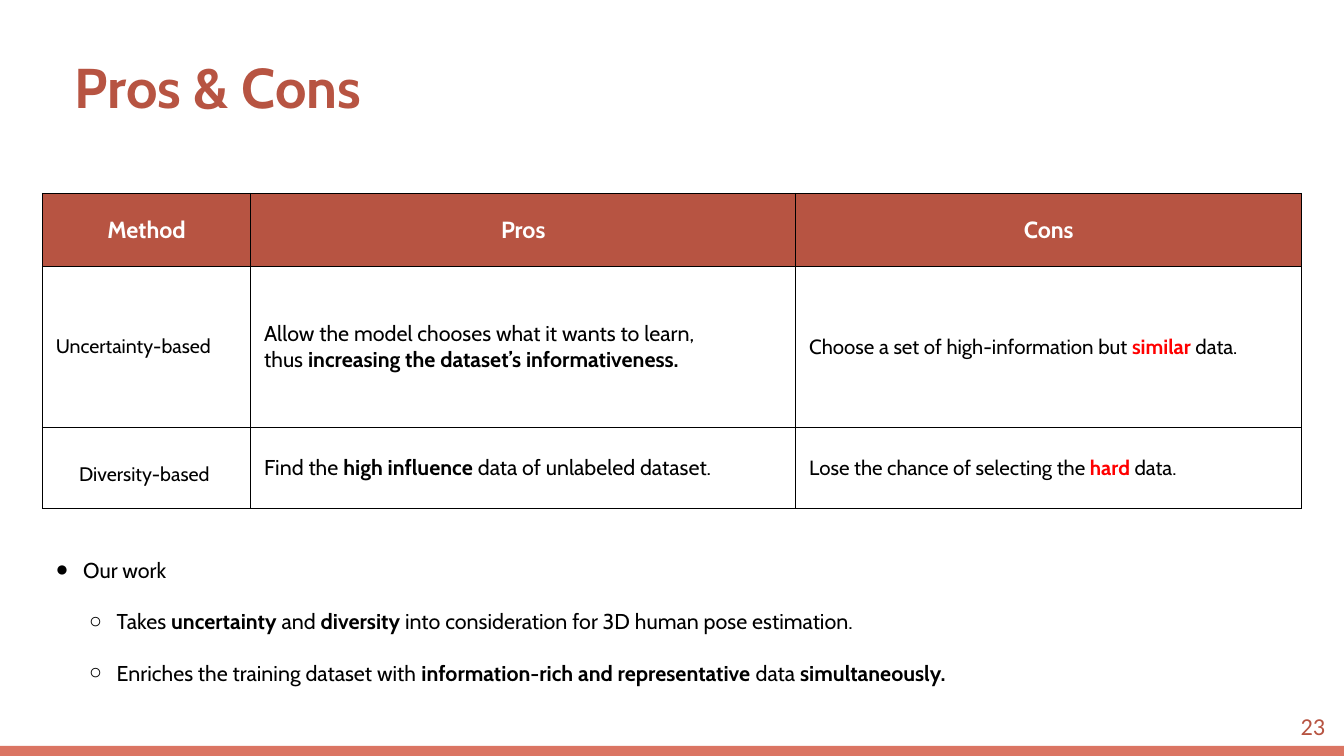
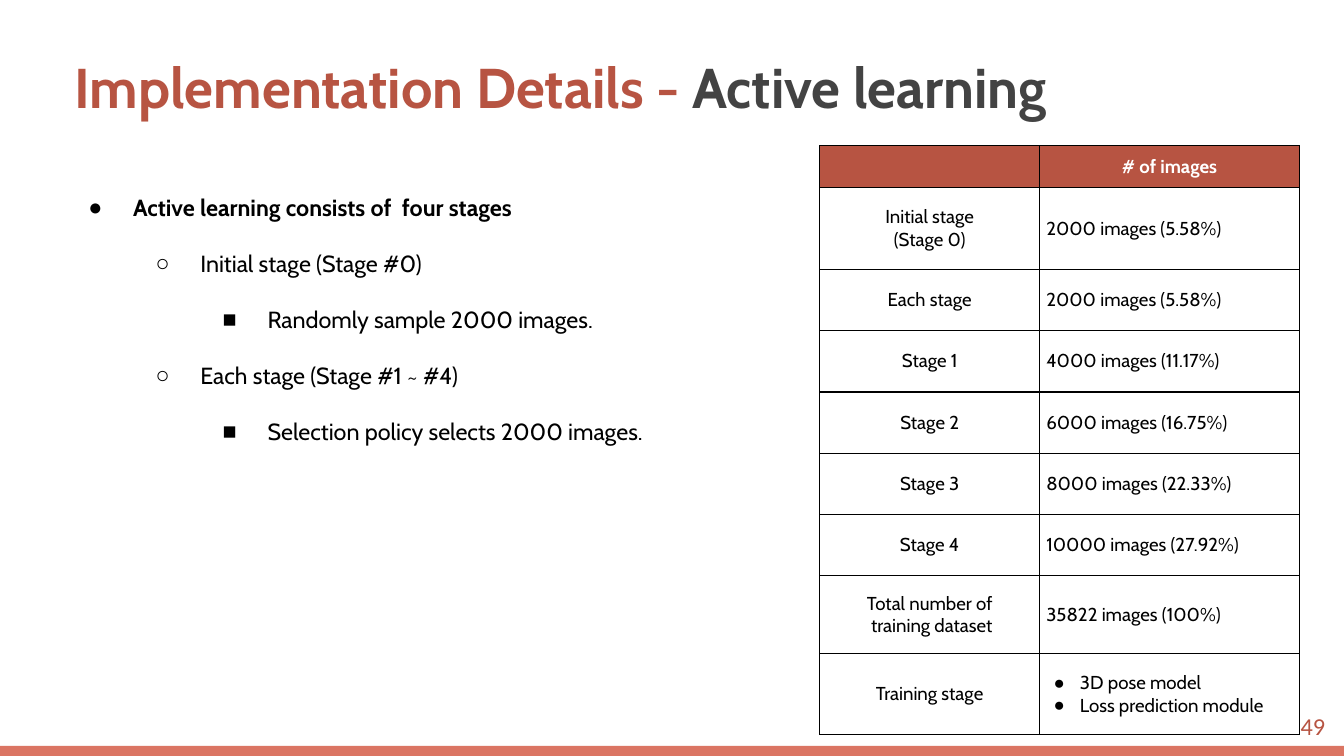
from dataclasses import dataclass

from lxml.etree import SubElement
from pptx import Presentation
from pptx.dml.color import RGBColor
from pptx.enum.shapes import MSO_SHAPE as Preset
from pptx.enum.text import MSO_ANCHOR as Anchor, MSO_AUTO_SIZE as AutoSize, PP_ALIGN as Align
from pptx.oxml.ns import qn
from pptx.util import Pt


@dataclass(frozen=True)
class Theme:
    accent: str = "B75442"
    band: str = "DB7563"
    ink: str = "000000"
    grey: str = "434343"
    white: str = "FFFFFF"
    alert: str = "FF0000"
    font: str = "Cabin"
    number_font: str = "Calibri"
    title_size: float = 60
    number_size: float = 26
    header_size: float = 25
    small_header_size: float = 20
    body_size: float = 23
    cons_size: float = 22
    method_size: float = 21
    stage_size: float = 20
    outline_size: float = 25
    wide_inset: float = 14.4
    narrow_inset: float = 7.2
    border: float = 1.5


@dataclass(frozen=True)
class Box:
    left: float
    top: float
    width: float
    height: float

    def lengths(self):
        return Pt(self.left), Pt(self.top), Pt(self.width), Pt(self.height)


THEME = Theme()
SLIDE = Box(0, 0, 1440, 810)
TITLE = Box(65.5, 41.8, 1259.3, 101.5)
NUMBER = Box(1347.8, 748, 86.4, 62)
BAND = Box(-4.3, 799.2, 1448.6, 18.7)
BULLETS = "●○■"


def rgb(color):
    return RGBColor.from_string(color)


def bold(text):
    return text, {"bold": True}


def alert(text):
    return text, {"bold": True, "color": THEME.alert}


def add_bullet(paragraph, level, step, hang):
    paragraph.level = level
    properties = paragraph._p.get_or_add_pPr()
    properties.set("marL", str(Pt(step * (level + 1))))
    properties.set("indent", str(-Pt(hang)))
    color = SubElement(properties, qn("a:buClr"))
    SubElement(color, qn("a:srgbClr"), val=THEME.ink)
    SubElement(properties, qn("a:buFont"), typeface="Arial")
    SubElement(properties, qn("a:buChar"), char=BULLETS[level])


def write(frame, lines, *, size, font=THEME.font, color=THEME.ink, bold=False,
          align=Align.LEFT, spacing=None, levels=None, step=0, hang=0):
    """Fill a frame; each line is a string or a list of strings and (string, format) runs."""
    frame.word_wrap = True
    for index, line in enumerate(lines):
        paragraph = frame.paragraphs[0] if index == 0 else frame.add_paragraph()
        if levels:
            add_bullet(paragraph, levels[index], step, hang)
        paragraph.alignment = align
        if spacing:
            paragraph.line_spacing = spacing
        for part in [line] if isinstance(line, str) else line:
            text, changes = (part, {}) if isinstance(part, str) else part
            for piece_index, piece in enumerate(text.split("\n")):
                if piece_index:
                    paragraph.add_line_break()
                run = paragraph.add_run()
                run.text = piece
                run.font.name = font
                run.font.size = Pt(size)
                run.font.bold = changes.get("bold", bold)
                run.font.color.rgb = rgb(changes.get("color", color))


def set_insets(target, inset):
    target.margin_left = target.margin_right = Pt(inset)
    target.margin_top = target.margin_bottom = Pt(inset)


def add_text(slide, box, lines, inset, **text_format):
    frame = slide.shapes.add_textbox(*box.lengths()).text_frame
    set_insets(frame, inset)
    write(frame, lines, **text_format)


def add_title(slide, runs):
    title = slide.shapes.title
    title.left, title.top, title.width, title.height = TITLE.lengths()
    frame = title.text_frame
    frame.auto_size = AutoSize.NONE
    frame.vertical_anchor = Anchor.TOP
    set_insets(frame, THEME.wide_inset)
    write(frame, [runs], size=THEME.title_size, color=THEME.accent, bold=True)


def add_footer(slide, number):
    add_text(slide, NUMBER, [number], THEME.wide_inset, size=THEME.number_size,
             font=THEME.number_font, color=THEME.accent, align=Align.RIGHT)
    band = slide.shapes.add_shape(Preset.RECTANGLE, *BAND.lengths())
    band.shadow.inherit = False
    band.fill.solid()
    band.fill.fore_color.rgb = rgb(THEME.band)
    band.line.color.rgb = rgb(THEME.band)
    band.line.width = Pt(0.75)


def add_slide(presentation, title, number):
    slide = presentation.slides.add_slide(presentation.slide_layouts[5])
    add_title(slide, title)
    add_footer(slide, number)
    return slide


def add_borders(cell):
    properties = cell._tc.get_or_add_tcPr()
    for side in ("lnL", "lnR", "lnT", "lnB"):
        line = SubElement(properties, qn(f"a:{side}"), w=str(Pt(THEME.border)))
        fill = SubElement(line, qn("a:solidFill"))
        SubElement(fill, qn("a:srgbClr"), val=THEME.ink)


def add_grid(slide, left, top, widths, heights, inset):
    """Add an empty bordered table whose first row is the coloured header."""
    box = Box(left, top, sum(widths), sum(heights))
    table = slide.shapes.add_table(len(heights), len(widths), *box.lengths()).table
    table.first_row = table.horz_banding = False
    for column, width in zip(table.columns, widths):
        column.width = Pt(width)
    for row_index, (row, height) in enumerate(zip(table.rows, heights)):
        row.height = Pt(height)
        for cell in row.cells:
            set_insets(cell, inset)
            cell.vertical_anchor = Anchor.MIDDLE
            add_borders(cell)
            if row_index == 0:
                cell.fill.solid()
                cell.fill.fore_color.rgb = rgb(THEME.accent)
            else:
                cell.fill.background()
    return table


def write_header(table, labels, size):
    for column, label in enumerate(labels):
        if label:
            write(table.cell(0, column).text_frame, [label], size=size,
                  color=THEME.white, bold=True, align=Align.CENTER)


def add_method_table(slide, left, top):
    table = add_grid(slide, left, top, [223.2, 584, 542], [77.8, 172.8, 87.1],
                     THEME.wide_inset)
    write_header(table, ["Method", "Pros", "Cons"], THEME.header_size)
    methods = [
        ("Uncertainty-based", {},
         ["Allow the model chooses what it wants to learn,",
          ["thus ", bold("increasing the dataset’s informativeness.")]],
         ["Choose a set of high-information but ", alert("similar "), "data."]),
        ("Diversity-based ", {"align": Align.CENTER, "spacing": 1.5},
         [["Find the", bold(" high influence"), " data of unlabeled dataset."]],
         ["Lose the chance of selecting the ", alert("hard "), "data."]),
    ]
    for row, (method, method_format, pros, cons) in enumerate(methods, start=1):
        write(table.cell(row, 0).text_frame, [method], size=THEME.method_size, **method_format)
        write(table.cell(row, 1).text_frame, pros, size=THEME.body_size)
        write(table.cell(row, 2).text_frame, [cons], size=THEME.cons_size)


def add_stage_table(slide, left, top):
    stages = [
        (["Initial stage", "(Stage 0)"], "2000 images (5.58%)"),
        (["Each stage"], "2000 images (5.58%)"),
        (["Stage 1"], "4000 images (11.17%)"),
        (["Stage 2"], "6000 images (16.75%)"),
        (["Stage 3"], "8000 images (22.33%)"),
        (["Stage 4"], "10000 images (27.92%)"),
        (["Total number of\n training dataset"], "35822 images (100%)"),
    ]
    heights = [44.6, 87.8] + [65.7] * 5 + [83.5, 86.4]
    table = add_grid(slide, left, top, [235.4, 278.6], heights, THEME.narrow_inset)
    write_header(table, ["", "# of images"], THEME.small_header_size)
    size = THEME.stage_size
    for row, (stage, images) in enumerate(stages, start=1):
        write(table.cell(row, 0).text_frame, stage, size=size, align=Align.CENTER)
        write(table.cell(row, 1).text_frame, [images], size=size)
    last = len(stages) + 1
    write(table.cell(last, 0).text_frame, ["Training stage"], size=size, align=Align.CENTER)
    write(table.cell(last, 1).text_frame, ["3D pose model", "Loss prediction module"],
          size=size, levels=[0, 0], step=36, hang=28)


def build_pros_and_cons(presentation):
    slide = add_slide(presentation, ["Pros & Cons"], "23")
    add_method_table(slide, 45.4, 207.4)
    our_work = [
        "Our work",
        ["Takes ", bold("uncertainty"), " and ", bold("diversity "),
         "into consideration for 3D human pose estimation."],
        ["Enriches the training dataset with ", bold("information-rich and representative"),
         " data ", bold("simultaneously.")],
    ]
    add_text(slide, Box(46, 561.6, 1152, 154), our_work, THEME.narrow_inset,
             size=THEME.body_size, spacing=2.0, levels=[0, 1, 1], step=36, hang=29.5)


def build_active_learning(presentation):
    title = ["Implementation Details - ", ("Active learning", {"color": THEME.grey})]
    slide = add_slide(presentation, title, "49")
    outline = [
        [bold("Active learning consists of  four stages")],
        "Initial stage (Stage #0)",
        "Randomly sample 2000 images.",
        "Each stage (Stage #1 ~ #4)",
        "Selection policy selects 2000 images.",
    ]
    add_text(slide, Box(56.2, 162.7, 1378, 579.6), outline, THEME.wide_inset,
             size=THEME.outline_size, spacing=2.0, levels=[0, 1, 2, 1, 2], step=72, hang=48)
    add_stage_table(slide, 878.4, 156.2)


def main():
    presentation = Presentation()
    presentation.slide_width = Pt(SLIDE.width)
    presentation.slide_height = Pt(SLIDE.height)
    build_pros_and_cons(presentation)
    build_active_learning(presentation)
    presentation.save("out.pptx")


if __name__ == "__main__":
    main()
